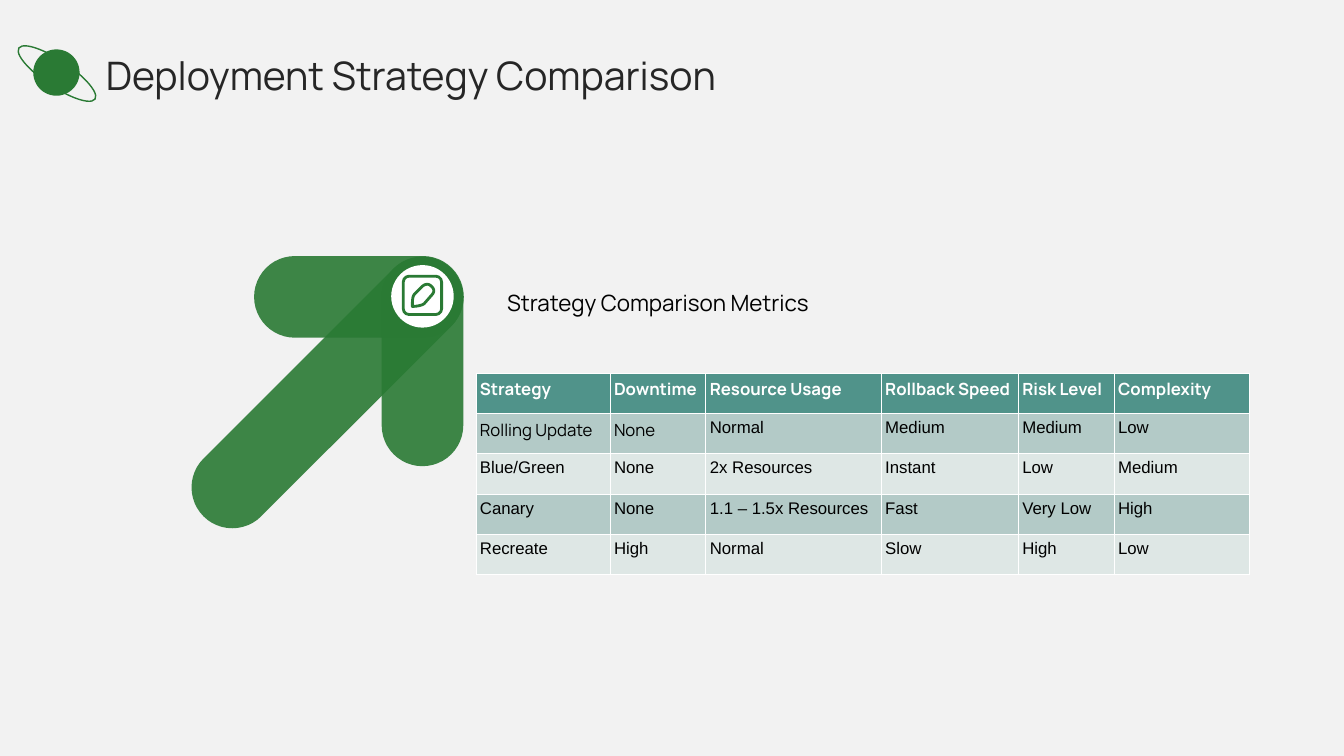
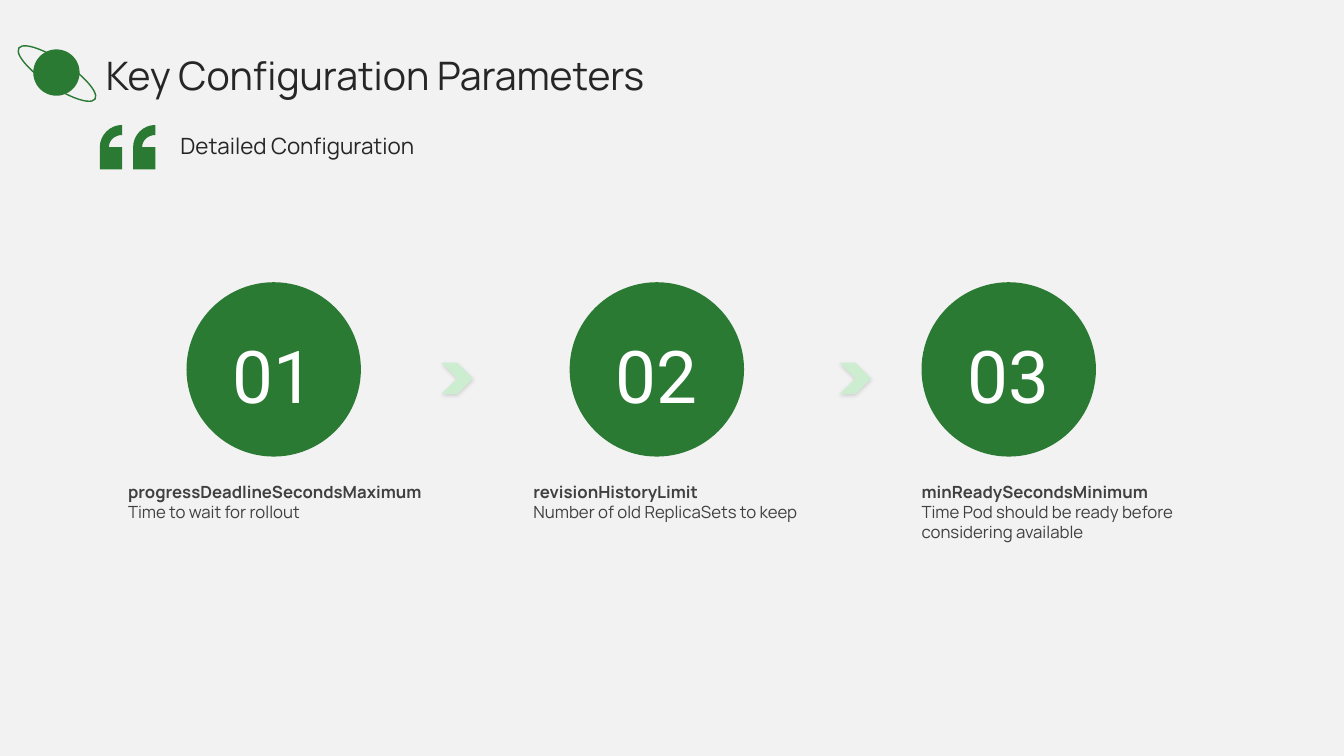
"""Builds two slides on deployment strategies and their settings."""
from dataclasses import dataclass

from lxml import etree
from pptx import Presentation
from pptx import util as u
from pptx.dml.color import RGBColor
from pptx.enum import shapes, text
from pptx.oxml import ns

KIND = shapes.MSO_SHAPE
ALIGN = text.PP_ALIGN
ANCHOR = text.MSO_ANCHOR
HEAD = "Manrope"
BODY = "Arial"
DIGIT = "Roboto"


@dataclass(frozen=True)
class Theme:
    """Colours and type sizes of the deck."""
    back: str = "F2F2F2"
    green: str = "2A7A34"
    pale: str = "CCEDD0"
    white: str = "FFFFFF"
    black: str = "000000"
    ink: str = "262626"
    gray: str = "404040"
    teal: str = "50938A"
    bands: tuple = ("B3CAC7", "DEE7E5")
    title: int = 28
    lead: int = 16
    small: int = 12
    huge: int = 52


def put(frame, *lines, size, color, font=HEAD, bold=(), align=ALIGN.LEFT,
        anchor=ANCHOR.TOP, inset=(0, 0, 0, 0)):
    """Write lines into a frame; bold holds the indexes of bold lines."""
    frame.word_wrap = True
    frame.auto_size = text.MSO_AUTO_SIZE.NONE
    frame.vertical_anchor = anchor
    (frame.margin_left, frame.margin_top,
     frame.margin_right, frame.margin_bottom) = map(u.Inches, inset)
    for i, line in enumerate(lines):
        para = frame.paragraphs[0] if i == 0 else frame.add_paragraph()
        para.alignment = align
        run = para.add_run()
        run.text = line
        run.font.name = font
        run.font.size = u.Pt(size)
        run.font.bold = i in bold
        run.font.color.rgb = RGBColor.from_string(color)


def node(owner, tag, **attrs):
    """Add a drawing element with attributes to its owner."""
    return etree.SubElement(owner, ns.qn(tag), {k: str(v) for k, v in attrs.items()})


def trace(start, steps, parts=8):
    """Turn points and cubic curves into a list of points."""
    points = [start]
    for step in steps:
        if len(step) == 2:
            points.append(step)
            continue
        knots = [points[-1], step[:2], step[2:4], step[4:]]
        for i in range(1, parts + 1):
            t = i / parts
            mix = ((1 - t) ** 3, 3 * t * (1 - t) ** 2, 3 * t * t * (1 - t), t ** 3)
            points.append(tuple(sum(m * k[a] for m, k in zip(mix, knots))
                                for a in (0, 1)))
    return points


class Deck:
    """Holds the style and the current slide."""

    def __init__(self, theme):
        """Open a wide deck with the shared background."""
        self.theme = theme
        self.show = Presentation()
        self.show.slide_width = u.Inches(13.33)
        self.show.slide_height = u.Inches(7.5)
        fill = self.show.slide_master.background.fill
        fill.solid()
        fill.fore_color.rgb = RGBColor.from_string(theme.back)
        self.slide = None

    def page(self, title):
        """Start a slide with its title and planet mark."""
        look = self.theme
        self.slide = self.show.slides.add_slide(self.show.slide_layouts[5])
        head = self.slide.shapes.title
        head.left, head.top, head.width, head.height = map(
            u.Inches, (1.05, 0.49, 11.67, 0.51))
        put(head.text_frame, title, size=look.title, color=look.ink,
            anchor=ANCHOR.MIDDLE)
        self.shape(KIND.OVAL, 0.33, 0.49, 0.46, 0.46, fill=look.green)
        self.shape(KIND.OVAL, 0.11, 0.6, 0.91, 0.26, line=look.green, turn=33.8)

    def paint(self, item, fill=None, line=None, weight=1):
        """Set fill and line, and drop the shadow."""
        item.shadow.inherit = False
        if fill:
            item.fill.solid()
            item.fill.fore_color.rgb = RGBColor.from_string(fill)
        else:
            item.fill.background()
        if line:
            item.line.color.rgb = RGBColor.from_string(line)
            item.line.width = u.Pt(weight)
        else:
            item.line.fill.background()
        return item

    def shape(self, kind, *box, turn=0, bend=None, alpha=None, **style):
        """Add a preset shape."""
        item = self.slide.shapes.add_shape(kind, *map(u.Inches, box))
        item.rotation = turn
        if bend is not None:
            item.adjustments[0] = bend
        self.paint(item, **style)
        if alpha:
            tint = item._element.spPr.find(ns.qn("a:solidFill"))[0]
            node(tint, "a:alpha", val=alpha * 1000)
        return item

    def outline(self, left, top, start, steps, **style):
        """Add a closed free shape, placed by an offset."""
        spots = [(u.Inches(left + x), u.Inches(top + y))
                 for x, y in trace(start, steps)]
        pen = self.slide.shapes.build_freeform(*spots[0])
        pen.add_line_segments(spots[1:], close=True)
        return self.paint(pen.convert_to_shape(), **style)

    def label(self, box, *lines, **form):
        """Add a text box."""
        item = self.slide.shapes.add_textbox(*map(u.Inches, box))
        put(item.text_frame, *lines, **form)

    def chevron(self, left, top):
        """Add a pale chevron with a soft shadow."""
        item = self.shape(KIND.CHEVRON, left, top, 0.31, 0.31, fill=self.theme.pale)
        effect = item._element.spPr.find(ns.qn("a:effectLst"))
        shade = node(effect, "a:outerShdw", blurRad=u.Pt(3), dist=u.Pt(1),
                     dir=90 * 60000, algn="t", rotWithShape=0)
        tint = node(shade, "a:srgbClr", val=self.theme.black)
        node(tint, "a:alpha", val=15000)

    def badge(self, left, top, mark):
        """Add a numbered disc."""
        disc = self.shape(KIND.OVAL, left, top, 1.73, 1.73, fill=self.theme.green)
        put(disc.text_frame, mark, size=self.theme.huge, color=self.theme.white,
            font=DIGIT, align=ALIGN.CENTER, anchor=ANCHOR.MIDDLE,
            inset=(0, 0.09, 0, 0))

    def border(self, cell):
        """Give a cell thin white borders."""
        props = cell._tc.get_or_add_tcPr()
        for i, side in enumerate(("a:lnL", "a:lnR", "a:lnT", "a:lnB")):
            edge = etree.Element(ns.qn(side), w=str(u.Pt(0.57)))
            node(node(edge, "a:solidFill"), "a:srgbClr", val=self.theme.white)
            props.insert(i, edge)

    def table(self, left, top, widths, high, rows):
        """Add a banded table with a header row."""
        look = self.theme
        box = (left, top, sum(widths), high * len(rows))
        grid = self.slide.shapes.add_table(
            len(rows), len(widths), *map(u.Inches, box)).table
        grid.horz_banding = False
        for col, wide in zip(grid.columns, widths):
            col.width = u.Inches(wide)
        for r, row in enumerate(rows):
            grid.rows[r].height = u.Inches(high)
            for c, words in enumerate(row):
                cell = grid.cell(r, c)
                cell.fill.solid()
                cell.fill.fore_color.rgb = RGBColor.from_string(
                    look.bands[(r - 1) % 2] if r else look.teal)
                put(cell.text_frame, words, size=look.small,
                    color=look.black if r else look.white,
                    font=HEAD if r == 0 or (r == 1 and c < 2) else BODY,
                    bold=() if r else (0,))
                (cell.margin_left, cell.margin_top, cell.margin_right,
                 cell.margin_bottom) = map(u.Inches, (0.04, 0.05, 0.04, 0.05))
                self.border(cell)


def compare(deck):
    """Build the strategy table slide."""
    look = deck.theme
    deck.page("Deployment Strategy Comparison")
    for left, top, wide, turn in ((1.51, 3.49, 3.47, 315), (2.52, 2.54, 2.08, 0),
                                  (3.15, 3.18, 2.08, 90)):
        deck.shape(KIND.ROUNDED_RECTANGLE, left, top, wide, 0.81, turn=turn,
                   bend=0.5, fill=look.green, alpha=90)
    deck.shape(KIND.OVAL, 3.88, 2.63, 0.62, 0.62, fill=look.white)
    deck.shape(KIND.ROUNDED_RECTANGLE, 4, 2.74, 0.38, 0.38, bend=0.15,
               line=look.green, weight=2)
    deck.outline(4.09, 2.82, (0.15, 0), (
        (0.16, 0, 0.18, 0.01, 0.19, 0.02), (0.22, 0.05, 0.22, 0.08, 0.19, 0.11),
        (0.12, 0.19), (0.1, 0.21, 0.04, 0.22, 0, 0.22),
        (0, 0.18, 0, 0.12, 0.02, 0.1), (0.1, 0.02),
        (0.11, 0.01, 0.13, 0, 0.15, 0)), line=look.green, weight=2)
    deck.label((5.03, 2.5, 6.47, 1.01), "Strategy Comparison Metrics",
               size=look.lead, color=look.black, anchor=ANCHOR.MIDDLE)
    deck.table(4.72, 3.7, (1.33, 0.95, 1.74, 1.36, 0.95, 1.34), 0.4, (
        ("Strategy", "Downtime", "Resource Usage", "Rollback Speed",
         "Risk Level", "Complexity"),
        ("Rolling Update", "None", "Normal", "Medium", "Medium", "Low"),
        ("Blue/Green", "None", "2x Resources", "Instant", "Low", "Medium"),
        ("Canary", "None", "1.1 – 1.5x Resources", "Fast", "Very Low", "High"),
        ("Recreate", "High", "Normal", "Slow", "High", "Low")))


def settings(deck):
    """Build the numbered settings slide."""
    look = deck.theme
    deck.page("Key Configuration Parameters")
    for left in (0.99, 1.32):
        deck.outline(left, 1.24, (0.22, 0), (
            (0.22, 0.1), (0.15, 0.1, 0.09, 0.15, 0.09, 0.22), (0.22, 0.22),
            (0.22, 0.44), (0, 0.44), (0, 0.22), (0, 0.1, 0.1, 0, 0.22, 0)),
            fill=look.green)
    deck.label((1.79, 1.31, 10.51, 1.49), "Detailed Configuration",
               size=look.lead, color=look.ink)
    steps = (
        (1.85, 1.27, 3.44, "progressDeadlineSecondsMaximum",
         "Time to wait for rollout"),
        (5.65, 5.29, 2.88, "revisionHistoryLimit",
         "Number of old ReplicaSets to keep"),
        (9.14, 9.14, 3.39, "minReadySecondsMinimum",
         "Time Pod should be ready before considering available"))
    for i, (disc, left, wide, name, note) in enumerate(steps, 1):
        deck.badge(disc, 2.8, f"{i:02}")
        deck.label((left, 4.74, wide, 1.97), name, note, size=look.small,
                   color=look.gray, bold=(0,), inset=(0, 0.04, 0, 0.04))
    for left in (4.38, 8.33):
        deck.chevron(left, 3.6)


def main():
    """Build and save the deck."""
    deck = Deck(Theme())
    compare(deck)
    settings(deck)
    deck.show.save("out.pptx")


if __name__ == "__main__":
    main()
